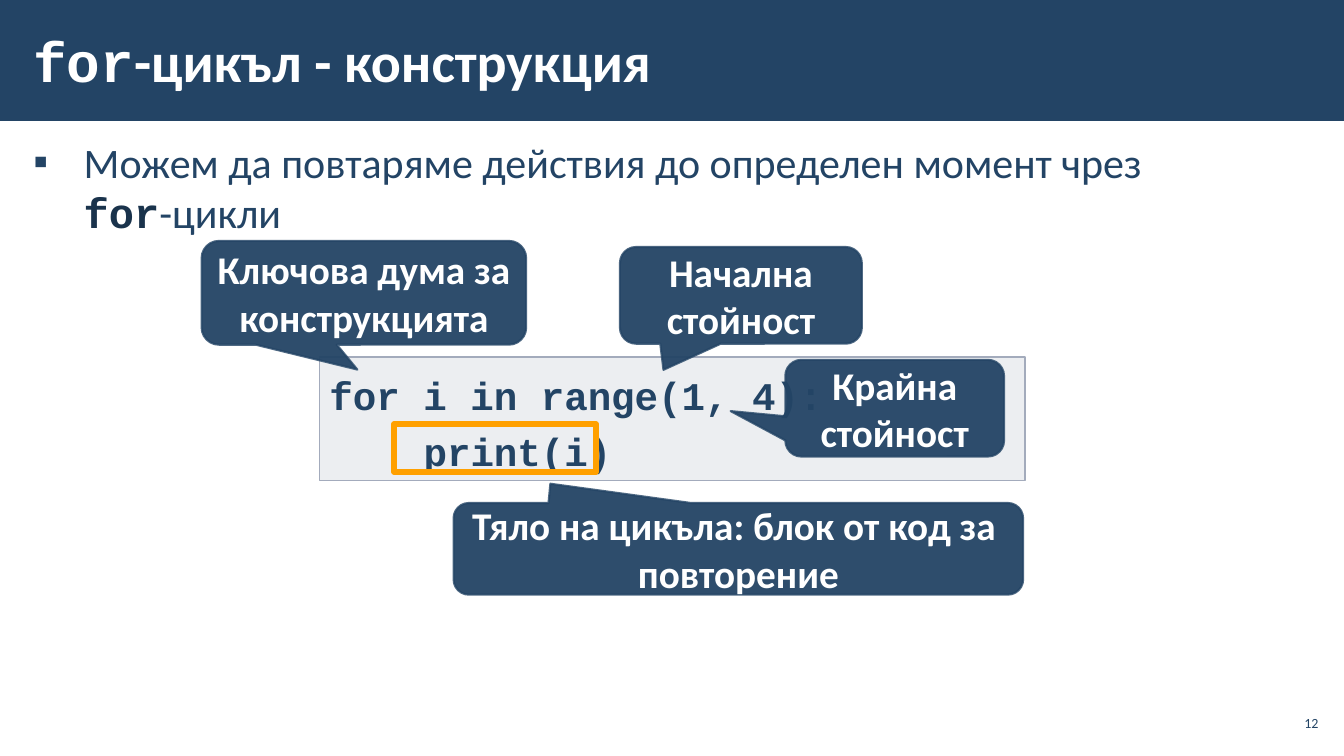
from dataclasses import dataclass

from lxml.etree import SubElement
from pptx import Presentation
from pptx.dml.color import RGBColor as Rgb
from pptx.enum.shapes import MSO_SHAPE as Kind
from pptx.enum.text import MSO_ANCHOR as Anchor, MSO_AUTO_SIZE as Fit, PP_ALIGN as Align
from pptx.oxml.ns import qn
from pptx.util import Inches, Pt


@dataclass(frozen=True)
class Theme:
    navy: str = "234465"
    dark: str = "1A334C"
    grey: str = "A3ABBC"
    amber: str = "FFA000"
    white: str = "FFFFFF"
    sans: str = "Calibri"
    mono: str = "Courier New"
    head: int = 40
    body: int = 30
    note: int = 28
    tiny: int = 10


BREAK = None
SNUG = dict(margin_left=Inches(0.12), margin_right=Inches(0.12),
            margin_top=Inches(0.04), margin_bottom=Inches(0.04))


def put(item, **values):
    for name, value in values.items():
        setattr(item, name, value)


class Deck:
    """Holds the theme and the current slide; boxes are in percent of its size."""

    def __init__(self, theme):
        self.theme = theme
        self.show = Presentation()
        put(self.show, slide_width=Inches(13.333), slide_height=Inches(7.5))
        self.slide = self.show.slides.add_slide(self.show.slide_layouts[1])

    def area(self, box):
        wide, high = self.show.slide_width, self.show.slide_height
        return [int(part * side / 100) for part, side in zip(box, (wide, high) * 2)]

    def place(self, item, box):
        put(item, **dict(zip(("left", "top", "width", "height"), self.area(box))))

    def words(self, para, runs, size, color, **base):
        """Each run is a text, a (text, format) pair or BREAK."""
        for part in runs:
            if part is BREAK:
                para.add_line_break()
                continue
            text, extra = (part, {}) if isinstance(part, str) else part
            style = dict(name=self.theme.sans, bold=False, tint=color) | base | extra
            run = para.add_run()
            run.text = text
            run.font.color.rgb = Rgb.from_string(style.pop("tint"))
            put(run.font, size=Pt(size), **style)

    def title(self, box, runs):
        item = self.slide.shapes.title
        self.place(item, box)
        frame = item.text_frame
        put(frame, vertical_anchor=Anchor.MIDDLE, word_wrap=True, auto_size=Fit.NONE, **SNUG)
        para = frame.paragraphs[0]
        para.alignment = Align.LEFT
        self.words(para, runs, self.theme.head, self.theme.white, bold=True)

    def bullets(self, box, items):
        item = self.slide.placeholders[1]
        self.place(item, box)
        frame = item.text_frame
        put(frame, word_wrap=True, auto_size=Fit.NONE, **SNUG)
        for spot, runs in enumerate(items):
            para = frame.add_paragraph() if spot else frame.paragraphs[0]
            put(para, space_before=Pt(6), space_after=Pt(6))
            self.words(para, runs, self.theme.body, self.theme.navy)
            props = para._p.get_or_add_pPr()
            props.set("marL", str(Inches(0.5)))
            props.set("indent", str(-Inches(0.5)))
            SubElement(props, qn("a:buChar")).set("char", "▪")

    def shape(self, kind, box, fill=None, alpha=100, line=None, width=1, clear=100):
        item = self.slide.shapes.add_shape(kind, *self.area(box))
        item.shadow.inherit = False
        paints = ((item.fill, fill, alpha, "a:solidFill/a:srgbClr"),
                  (item.line.fill, line, clear, "a:ln/a:solidFill/a:srgbClr"))
        for paint, color, share, route in paints:
            if not color:
                paint.background()
                continue
            paint.solid()
            paint.fore_color.rgb = Rgb.from_string(color)
            if share < 100:
                node = item._element.spPr.xpath(route)[0]
                SubElement(node, qn("a:alpha")).set("val", str(share * 1000))
        if line:
            item.line.width = Pt(width)
        return item

    def banner(self, box):
        item = self.shape(Kind.RECTANGLE, box, self.theme.navy)
        self.slide.shapes._spTree.insert(2, item._element)

    def code(self, box, lines):
        """Each line is its depth in characters and its text."""
        look = self.theme
        item = self.shape(Kind.RECTANGLE, box, look.grey, 20, look.grey)
        frame = item.text_frame
        put(frame, vertical_anchor=Anchor.TOP, word_wrap=True, auto_size=Fit.SHAPE_TO_FIT_TEXT)
        for spot, (depth, text) in enumerate(lines):
            para = frame.add_paragraph() if spot else frame.paragraphs[0]
            put(para, alignment=Align.LEFT, line_spacing=1.2)
            para._p.get_or_add_pPr().set("marL", str(Pt(depth * look.note * 0.6)))
            self.words(para, [text], look.note, look.navy, name=look.mono, bold=True)

    def callout(self, box, tip, runs):
        look = self.theme
        item = self.shape(Kind.ROUNDED_RECTANGULAR_CALLOUT, box, look.navy, 95,
                          look.navy, 1.5, 80)
        for spot, value in enumerate(tip):
            item.adjustments[spot] = value
        frame = item.text_frame
        put(frame, vertical_anchor=Anchor.MIDDLE, word_wrap=True)
        para = frame.paragraphs[0]
        para.alignment = Align.CENTER
        self.words(para, runs, look.note, look.white, bold=True)

    def number(self, box, text):
        frame = self.slide.shapes.add_textbox(*self.area(box)).text_frame
        put(frame, vertical_anchor=Anchor.MIDDLE, word_wrap=True,
            **dict.fromkeys(SNUG, Inches(0.04)))
        para = frame.paragraphs[0]
        para.alignment = Align.RIGHT
        self.words(para, [text], self.theme.tiny, self.theme.navy)


def main():
    look = Theme()
    deck = Deck(look)
    deck.banner((0, 0, 100, 16))
    deck.title((1.58, 1.47, 77.94, 12.93),
               [("for", dict(name=look.mono)), "-цикъл - конструкция"])
    deck.bullets((1.58, 17.47, 96.9, 75.87), [
        ["Можем да повтаряме действия до определен момент чрез ", BREAK,
         ("for", dict(name=look.mono, tint=look.dark, bold=True)), "-цикли"],
    ])
    deck.number((94.88, 93.33, 3.52, 4.53), "12")
    deck.code((23.78, 47.2, 52.5, 16.4), [(0, "for i in range(1, 4):"), (4, "print(i)")])
    notes = (
        ((15, 31.87, 24.15, 13.73), (-0.02, 0.74), ["Ключова дума за конструкцията"]),
        ((46.13, 32.67, 18, 12.8), (-0.32, 0.77), ["Начална стойност"]),
        ((58.43, 47.6, 16.28, 12.8), (-0.75, 0.03), ["Крайна стойност"]),
        ((33.75, 66.53, 42.38, 12.13), (-0.33, -0.71),
         ["Тяло на цикъла: блок от код за ", BREAK, "повторение"]),
    )
    for box, tip, runs in notes:
        deck.callout(box, tip, runs)
    deck.shape(Kind.RECTANGLE, (29.33, 56.13, 15, 6.27), line=look.amber, width=4.5)
    deck.show.save("out.pptx")


if __name__ == "__main__":
    main()
